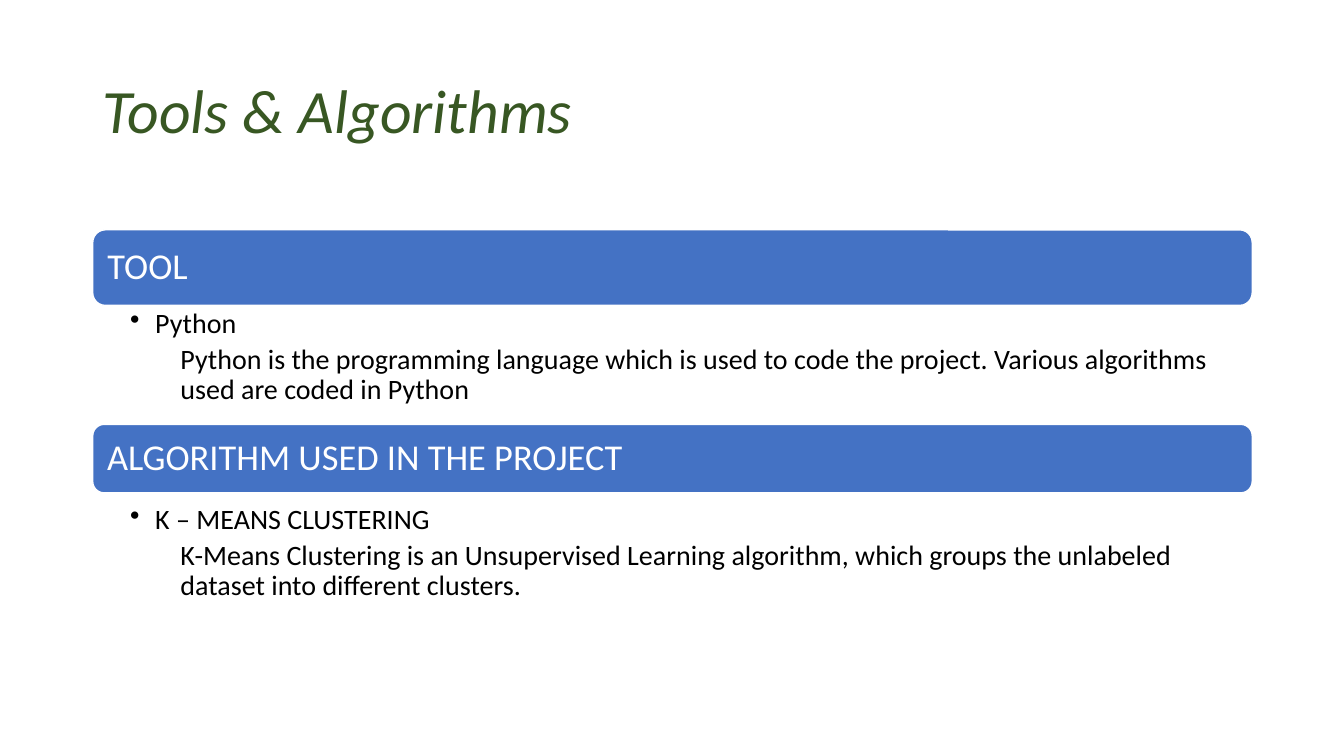
from pptx import Presentation
from pptx.dml.color import RGBColor
from pptx.enum.shapes import MSO_SHAPE
from pptx.enum.text import MSO_ANCHOR, PP_ALIGN
from pptx.oxml import parse_xml
from pptx.oxml.ns import nsdecls
from pptx.util import Inches, Pt

GREEN = RGBColor(0x38, 0x57, 0x23)
BLUE = RGBColor(0x44, 0x72, 0xC4)
WHITE = RGBColor(0xFF, 0xFF, 0xFF)
BLACK = RGBColor(0, 0, 0)

LEFT, WIDTH = 0.92, 11.5
TITLE_FONT = {"size": Pt(44), "italic": True}
HEADING_FONT = {"size": Pt(26)}
DETAIL_FONT = {"size": Pt(20)}
SECTIONS = [
    ((LEFT, 2.28, WIDTH, 0.75), (LEFT, 3.03, WIDTH, 1.25), "TOOL", "Python",
     "Python is the programming language which is used to code the project. "
     "Various algorithms used are coded in Python"),
    ((LEFT, 4.21, WIDTH, 0.68), (LEFT, 4.97, WIDTH, 1.48),
     "ALGORITHM USED IN THE PROJECT", "K – MEANS CLUSTERING",
     "K-Means Clustering is an Unsupervised Learning algorithm, which groups "
     "the unlabeled dataset into different clusters."),
]


def set_frame(frame, margins, anchor):
    """Turn wrapping on and set the insets and anchor of a text frame."""
    frame.word_wrap = True
    frame.vertical_anchor = anchor
    for side, margin in zip(("left", "top", "right", "bottom"), margins):
        setattr(frame, f"margin_{side}", Inches(margin))


def write(paragraph, text, color, font_values, space_after=0):
    """Fill one left-aligned paragraph with formatted text."""
    layout = {"alignment": PP_ALIGN.LEFT, "line_spacing": 0.9,
              "space_after": Pt(space_after)}
    for name, value in layout.items():
        setattr(paragraph, name, value)
    run = paragraph.add_run()
    run.text = text
    for name, value in {"name": "Calibri", **font_values}.items():
        setattr(run.font, name, value)
    run.font.color.rgb = color


def indent(paragraph, left, first=0, bullet=None):
    """Set the indents of a paragraph and give it an optional bullet."""
    properties = paragraph._p.get_or_add_pPr()
    properties.set("marL", str(Inches(left)))
    properties.set("indent", str(Inches(first)))
    if bullet:
        properties.append(parse_xml(f'<a:buChar {nsdecls("a")} char="{bullet}"/>'))


def add_title(slide, box, text):
    """Place the slide title in its box."""
    frame = slide.shapes.add_textbox(*map(Inches, box)).text_frame
    set_frame(frame, (0.1, 0.05, 0.1, 0.05), MSO_ANCHOR.MIDDLE)
    write(frame.paragraphs[0], text, GREEN, TITLE_FONT)


def add_heading(slide, box, text):
    """Place a rounded section bar with its heading."""
    bar = slide.shapes.add_shape(MSO_SHAPE.ROUNDED_RECTANGLE, *map(Inches, box))
    bar.shadow.inherit = False
    bar.fill.solid()
    bar.fill.fore_color.rgb = BLUE
    bar.line.color.rgb = WHITE
    bar.line.width = Pt(1)
    set_frame(bar.text_frame, (0.11,) * 4, MSO_ANCHOR.MIDDLE)
    write(bar.text_frame.paragraphs[0], text, WHITE, HEADING_FONT)


def add_details(slide, box, topic, description):
    """Place a bulleted topic with its description below."""
    frame = slide.shapes.add_textbox(*map(Inches, box)).text_frame
    set_frame(frame, (0.37, 0.04, 0.2, 0.04), MSO_ANCHOR.TOP)
    topic_line, description_line = frame.paragraphs[0], frame.add_paragraph()
    write(topic_line, topic, BLACK, DETAIL_FONT, 4)
    indent(topic_line, 0.25, -0.25, "•")
    write(description_line, description, BLACK, DETAIL_FONT, 4)
    indent(description_line, 0.5)


def build_slide(presentation):
    """Build the tools and algorithms slide."""
    slide = presentation.slides.add_slide(presentation.slide_layouts[6])
    add_title(slide, (LEFT, 0.4, WIDTH, 1.45), "Tools & Algorithms")
    for heading_box, details_box, heading, topic, description in SECTIONS:
        add_heading(slide, heading_box, heading)
        add_details(slide, details_box, topic, description)


presentation = Presentation()
presentation.slide_width, presentation.slide_height = Inches(13.33), Inches(7.5)
build_slide(presentation)
presentation.save("out.pptx")
